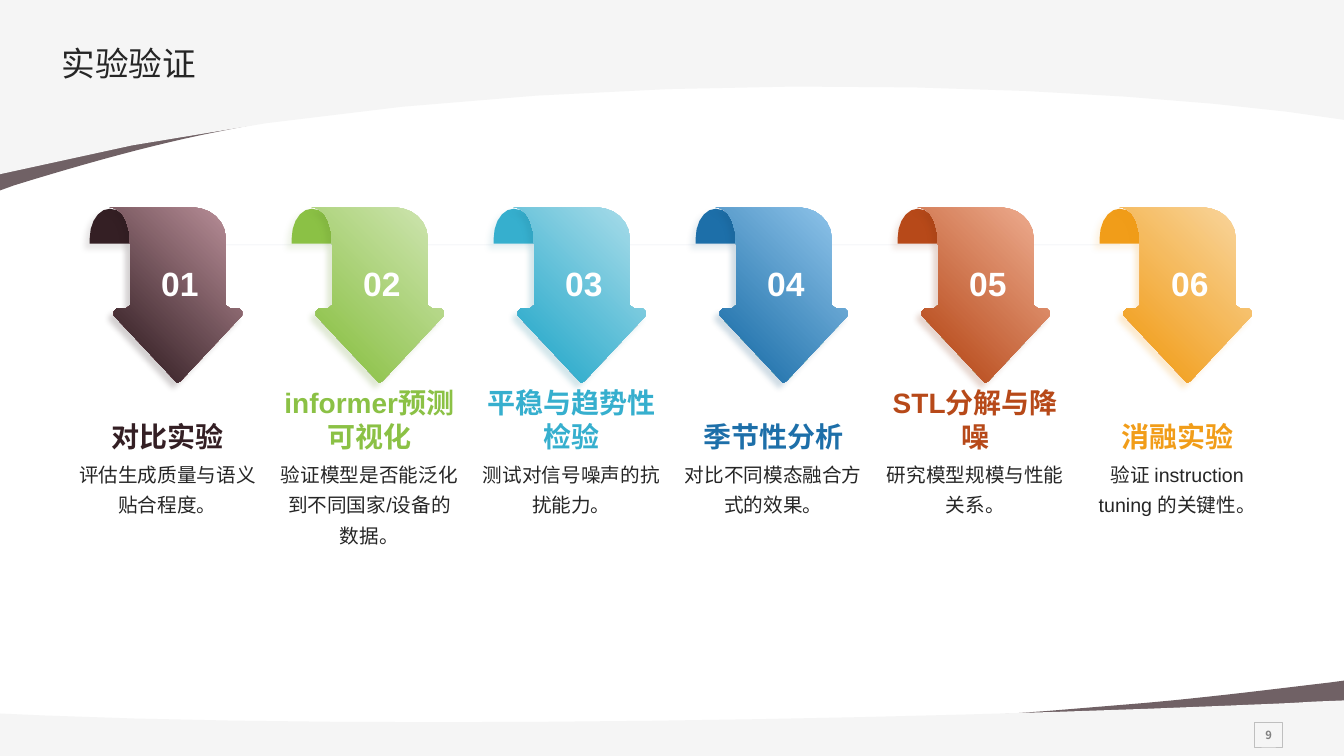
import math
from dataclasses import dataclass

from lxml import etree
from pptx import Presentation
from pptx import util as u
from pptx.dml.color import RGBColor
from pptx.enum import lang, shapes, text
from pptx.oxml import ns
from pptx.shapes.autoshape import Shape
from pptx.slide import Slide

LATIN_FONT = "Arial"
CHINESE_FONT = "Noto Sans CJK SC"
PLUM = RGBColor(0x34, 0x1F, 0x24)
PAPER = RGBColor(0xF5, 0xF5, 0xF5)
INK = RGBColor(0x26, 0x26, 0x26)
WHITE = RGBColor(0xFF, 0xFF, 0xFF)
RAIL = RGBColor(0x99, 0xA8, 0xBD)
FRAME = RGBColor(0xBF, 0xBF, 0xBF)
NUMBER_GRAY = RGBColor(0x80, 0x80, 0x80)

FIRST_COLUMN, COLUMN_PITCH, COLUMN_WIDTH = 1.96, 5.09, 4.52
ARROW_TOP = 5.23


@dataclass(frozen=True)
class Outline:
    start: tuple[float, float]
    steps: tuple[tuple[float, ...], ...]


@dataclass(frozen=True)
class Band:
    outline: Outline
    color: RGBColor
    opacity: int


@dataclass(frozen=True)
class Experiment:
    heading: str
    detail: str
    color: RGBColor
    tint: RGBColor
    shade: RGBColor
    color_stop: float = 0.9


@dataclass(frozen=True)
class Style:
    size: float
    color: RGBColor
    bold: bool = False
    font: str = LATIN_FONT
    align: text.PP_ALIGN = text.PP_ALIGN.CENTER
    anchor: text.MSO_ANCHOR = text.MSO_ANCHOR.TOP
    spacing: float = 1.0
    insets: tuple[float, float, float, float] = (0, 0, 0, 0)
    wrap: bool = True


BANDS = (
    Band(Outline((0, 4.8), (
        (0, 0.56), (33.88, 0.56), (33.88, 2.31), (33.86, 2.31),
        (26.21, 0.15, 13.06, 1.7, 5.44, 3.33),
        (3.91, 3.63, 2.18, 4.11, 0.36, 4.67))), PLUM, 70),
    Band(Outline((0, 0), (
        (33.87, 0), (33.87, 3.02),
        (28.96, 2.21, 13.13, 1.14, 0, 4.39))), PAPER, 100),
    Band(Outline((33.88, 17.15), (
        (33.88, 18.9), (0, 18.9), (0, 18.16), (0.03, 18.19),
        (7.65, 19.05, 20.83, 18.42, 28.42, 17.75),
        (29.95, 17.63, 31.67, 17.42, 33.5, 17.2))), PLUM, 70),
    Band(Outline((33.88, 17.65), (
        (33.88, 19.05), (0, 19.05), (0, 17.98), (1.12, 18.03),
        (9.96, 18.39, 23.11, 18.11, 30.99, 17.78),
        (31.65, 17.75, 32.39, 17.73, 33.12, 17.68))), PAPER, 100),
)

CURL = Outline((0.81, 0.03), (
    (1.12, 0.03, 1.35, 0.36, 1.35, 0.79), (1.35, 0.91), (0.3, 0.91), (0.3, 0.79),
    (0.3, 0.36, 0.53, 0.03, 0.81, 0.03)))

ARROW = Outline((0.81, 0), (
    (2.95, 0), (3.12, 0.03), (3.45, 0.1, 3.73, 0.41, 3.73, 0.76),
    (3.73, 2.46), (3.73, 2.51, 3.76, 2.54, 3.84, 2.54),
    (4.06, 2.54), (4.09, 2.54, 4.14, 2.57, 4.14, 2.62),
    (4.17, 2.64, 4.17, 2.69, 4.14, 2.72),
    (2.59, 4.37), (2.59, 4.39, 2.57, 4.42, 2.51, 4.42),
    (2.49, 4.42, 2.46, 4.39, 2.46, 4.37),
    (0.91, 2.72), (0.89, 2.69, 0.89, 2.64, 0.91, 2.62),
    (0.91, 2.57, 0.97, 2.54, 0.99, 2.54),
    (1.22, 2.54), (1.3, 2.54, 1.32, 2.51, 1.32, 2.46),
    (1.32, 0.94), (1.32, 0.13, 0.97, 0, 0.81, 0)))

EXPERIMENTS = (
    Experiment("对比实验", "评估生成质量与语义贴合程度。", PLUM,
               RGBColor(0xBF, 0x94, 0x9E), RGBColor(0x27, 0x17, 0x1B)),
    Experiment("informer预测可视化", "验证模型是否能泛化到不同国家/设备的数据。",
               RGBColor(0x8B, 0xC1, 0x45), RGBColor(0xD1, 0xE6, 0xB5), RGBColor(0x69, 0x93, 0x31)),
    Experiment("平稳与趋势性检验", "测试对信号噪声的抗扰能力。",
               RGBColor(0x36, 0xAF, 0xCE), RGBColor(0xAF, 0xDF, 0xEB), RGBColor(0x26, 0x85, 0x9D), 0.8),
    Experiment("季节性分析", "对比不同模态融合方式的效果。",
               RGBColor(0x1D, 0x6F, 0xA9), RGBColor(0x94, 0xC8, 0xED), RGBColor(0x16, 0x53, 0x7F)),
    Experiment("STL分解与降噪", "研究模型规模与性能关系。",
               RGBColor(0xB7, 0x49, 0x19), RGBColor(0xF0, 0xB1, 0x95), RGBColor(0x89, 0x37, 0x13)),
    Experiment("消融实验", "验证 instruction tuning 的关键性。",
               RGBColor(0xF1, 0x9D, 0x19), RGBColor(0xF9, 0xD8, 0xA3), RGBColor(0xF1, 0x9D, 0x19)),
)


def trace(outline: Outline, left: float, top: float) -> list[tuple[int, int]]:
    points = [outline.start]
    for step in outline.steps:
        if len(step) == 2:
            points.append(step)
            continue
        x0, y0 = points[-1]
        x1, y1, x2, y2, x3, y3 = step
        chord = math.hypot(x3 - x0, y3 - y0)
        count = 1 if chord < 0.1 else min(12, math.ceil(5 * chord))
        for i in range(1, count + 1):
            t = i / count
            a, b, c, d = (1 - t) ** 3, 3 * t * (1 - t) ** 2, 3 * t * t * (1 - t), t ** 3
            points.append((a * x0 + b * x1 + c * x2 + d * x3, a * y0 + b * y1 + c * y2 + d * y3))
    return [(u.Cm(left + x), u.Cm(top + y)) for x, y in points]


def set_opacity(color: etree._Element, percent: int) -> None:
    etree.SubElement(color, ns.qn("a:alpha"), val=str(percent * 1000))


def draw_outline(page: Slide, outline: Outline, color: RGBColor, left: float = 0, top: float = 0) -> Shape:
    points = trace(outline, left, top)
    builder = page.shapes.build_freeform(*points[0])
    builder.add_line_segments(points[1:], close=True)
    shape = builder.convert_to_shape()
    shape.fill.solid()
    shape.fill.fore_color.rgb = color
    shape.line.fill.background()
    shape.shadow.inherit = False
    return shape


def cast_shadow(shape: Shape, color: RGBColor, percent: int) -> None:
    effects = next(shape.element.iter(ns.qn("a:effectLst")))
    shadow = etree.SubElement(effects, ns.qn("a:outerShdw"), blurRad=str(u.Pt(4)), dist=str(u.Pt(5)),
                              dir=str(135 * 60000), algn="tr", rotWithShape="0")
    set_opacity(etree.SubElement(shadow, ns.qn("a:srgbClr"), val=str(color)), percent)


def write(shape: Shape, words: str, style: Style) -> None:
    frame = shape.text_frame
    frame.text = words
    frame.word_wrap = style.wrap
    frame.vertical_anchor = style.anchor
    frame.margin_left, frame.margin_top, frame.margin_right, frame.margin_bottom = map(u.Cm, style.insets)
    para = frame.paragraphs[0]
    para.alignment = style.align
    para.line_spacing = style.spacing
    span = para.runs[0]
    span.font.size = u.Pt(style.size)
    span.font.bold = style.bold
    span.font.color.rgb = style.color
    span.font.name = style.font
    span.font.language_id = lang.MSO_LANGUAGE_ID.SIMPLIFIED_CHINESE
    latin = next(shape.element.iter(ns.qn("a:latin")))
    latin.addnext(etree.Element(ns.qn("a:ea"), typeface=CHINESE_FONT))


def add_words(page: Slide, left: float, top: float, width: float, height: float, words: str, style: Style) -> None:
    box = page.shapes.add_textbox(u.Cm(left), u.Cm(top), u.Cm(width), u.Cm(height))
    write(box, words, style)


def draw_experiment(page: Slide, index: int, experiment: Experiment) -> None:
    left = FIRST_COLUMN + index * COLUMN_PITCH
    add_words(page, left, 11.48, COLUMN_WIDTH, 4.8, experiment.detail, Style(14, INK, spacing=1.3))
    add_words(page, left, 9.73, COLUMN_WIDTH, 1.68, experiment.heading,
              Style(20, experiment.color, True, anchor=text.MSO_ANCHOR.BOTTOM))
    curl = draw_outline(page, CURL, experiment.color, left, ARROW_TOP)
    cast_shadow(curl, experiment.shade, 10)
    arrow = draw_outline(page, ARROW, experiment.color, left, ARROW_TOP)
    arrow.fill.gradient()
    arrow.fill.gradient_angle = 225
    stops = arrow.fill.gradient_stops
    for stop, color, position in zip(stops, (experiment.tint, experiment.color), (0, experiment.color_stop)):
        stop.color.rgb = color
        stop.position = position
    cast_shadow(arrow, experiment.shade, 20)
    write(arrow, f"{index + 1:02}", Style(24, WHITE, True, anchor=text.MSO_ANCHOR.MIDDLE,
                                          insets=(0.5, 0.2, 0.3, 0.8), wrap=False))


def draw_rail(page: Slide) -> None:
    rail = page.shapes.add_connector(shapes.MSO_CONNECTOR.STRAIGHT, u.Cm(4.78), u.Cm(6.17), u.Cm(28.22), u.Cm(6.17))
    rail.line.color.rgb = RAIL
    rail.line.width = u.Pt(0.5)
    set_opacity(next(rail.element.iter(ns.qn("a:srgbClr"))), 20)
    etree.SubElement(rail.element.spPr, ns.qn("a:effectLst"))


def draw_page_number(page: Slide) -> None:
    box = page.shapes.add_shape(shapes.MSO_SHAPE.RECTANGLE, u.Cm(31.62), u.Cm(18.21), u.Cm(0.71), u.Cm(0.64))
    box.shadow.inherit = False
    box.fill.background()
    box.line.color.rgb = FRAME
    box.line.width = u.Pt(0.75)
    write(box, "9", Style(8, NUMBER_GRAY, True, CHINESE_FONT, anchor=text.MSO_ANCHOR.MIDDLE,
                          insets=(0.2, 0.2, 0.2, 0.2), wrap=False))


def main() -> None:
    deck = Presentation()
    deck.slide_width, deck.slide_height = u.Cm(33.87), u.Cm(19.05)
    page = deck.slides.add_slide(deck.slide_layouts[6])
    for band in BANDS:
        shape = draw_outline(page, band.outline, band.color)
        if band.opacity < 100:
            set_opacity(next(shape.element.iter(ns.qn("a:srgbClr"))), band.opacity)
    draw_page_number(page)
    add_words(page, 1.35, 0.99, 30.48, 1.47, "实验验证",
              Style(24, INK, font=CHINESE_FONT, align=text.PP_ALIGN.LEFT, spacing=0.9, insets=(0.2, 0.2, 0, 0.2)))
    draw_rail(page)
    for index, experiment in enumerate(EXPERIMENTS):
        draw_experiment(page, index, experiment)
    deck.save("out.pptx")


if __name__ == "__main__":
    main()
